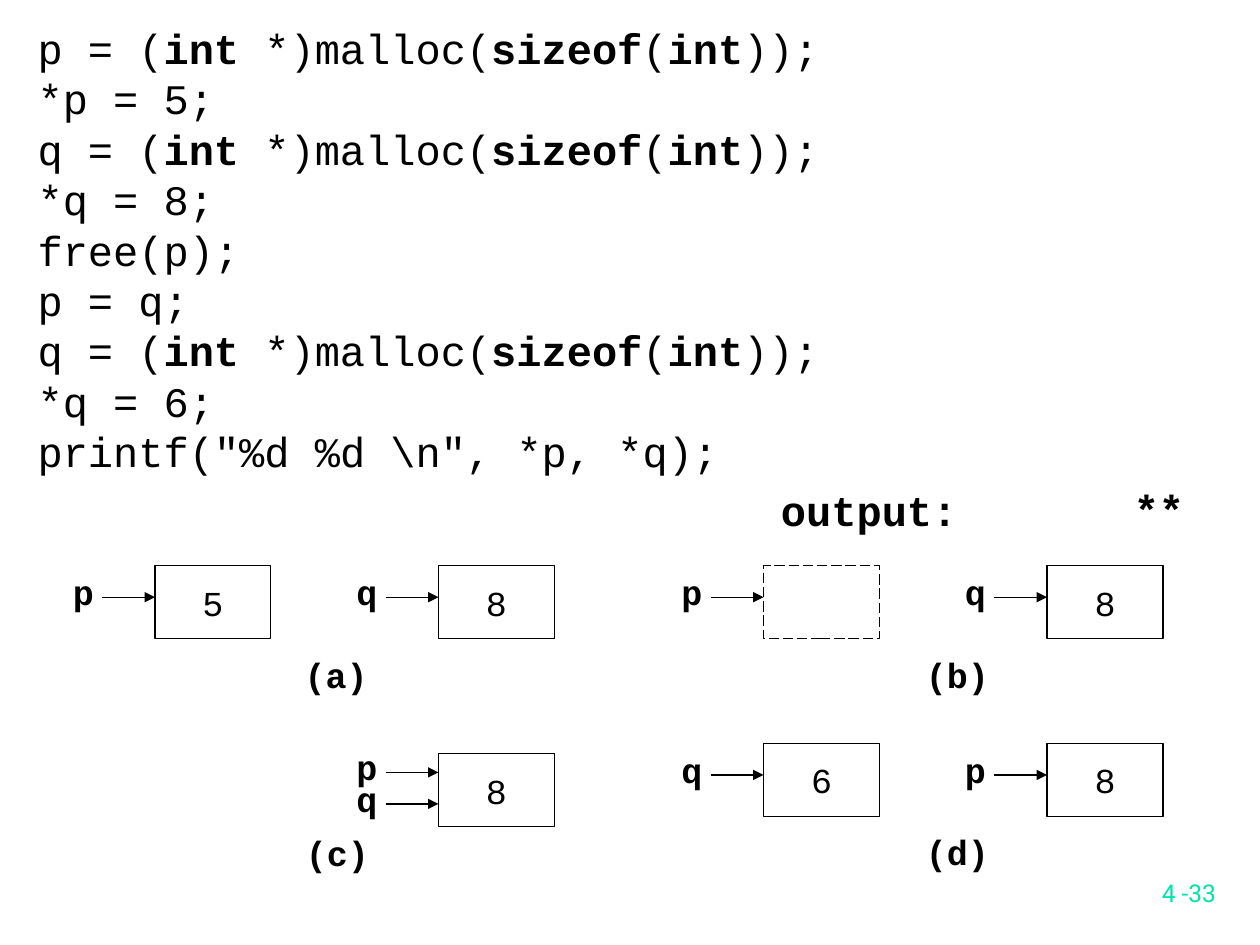
from lxml.etree import SubElement
from pptx import Presentation
from pptx.dml.color import RGBColor
from pptx.enum.dml import MSO_LINE
from pptx.enum.shapes import MSO_CONNECTOR, MSO_SHAPE
from pptx.enum.text import MSO_ANCHOR, MSO_AUTO_SIZE, PP_ALIGN
from pptx.oxml.ns import qn
from pptx.util import Inches, Pt

BLACK = "000000"
CODE = [
    "p = (|int| *)malloc(|sizeof|(|int|));",
    "*p = 5;",
    "q = (|int| *)malloc(|sizeof|(|int|));",
    "*q = 8;",
    "free(p);",
    "p = q;",
    "q = (|int| *)malloc(|sizeof|(|int|));",
    "*q = 6;",
    'printf("%d %d \\n", *p, *q);',
]
BOX_W, BOX_H = 0.92, 0.58
ARROW_W = 0.42
ARROW_DROP = 0.25

prs = Presentation()
prs.slide_width, prs.slide_height = Inches(10), Inches(7.5)
s = prs.slides.add_slide(prs.slide_layouts[6])


def write(sp, lines, size, bold=False, align=PP_ALIGN.LEFT,
          font="Courier New", color=BLACK, **frame):
    """Fill a shape with lines in which every second |-separated part is bold."""
    tf = sp.text_frame
    for name, value in frame.items():
        setattr(tf, name, value)
    for i, line in enumerate(lines):
        p = tf.paragraphs[0] if i == 0 else tf.add_paragraph()
        p.alignment = align
        for j, part in enumerate(line.split("|")):
            r = p.add_run()
            r.text = part
            fmt = {"name": font, "size": Pt(size), "bold": bold or j % 2 == 1}
            for name, value in fmt.items():
                setattr(r.font, name, value)
            r.font.color.rgb = RGBColor.from_string(color)


def add_label(text, x, y, w, h, size=20):
    sp = s.shapes.add_textbox(Inches(x), Inches(y), Inches(w), Inches(h))
    write(sp, [text], size, bold=True, word_wrap=False,
          auto_size=MSO_AUTO_SIZE.SHAPE_TO_FIT_TEXT)


# Program listing, output and page number
sp = s.shapes.add_textbox(Inches(0.2), Inches(0.13), Inches(6.77), Inches(3.7))
write(sp, CODE, 24, word_wrap=True, auto_size=MSO_AUTO_SIZE.SHAPE_TO_FIT_TEXT)
add_label("output:", 6.1, 3.8, 1.6, 0.5, 24)
add_label("**", 8.9, 3.79, 0.6, 0.5, 24)
sp = s.shapes.add_textbox(Inches(7.67), Inches(6.75), Inches(2.08), Inches(0.5))
write(sp, ["4 -33"], 14, align=PP_ALIGN.RIGHT, font="Roboto", color="00E4A8",
      word_wrap=True, vertical_anchor=MSO_ANCHOR.BOTTOM)

# Memory cells: left, top, value (empty once freed), pointers with arrow drop
cells = [
    (1.23, 4.49, "5", [("p", ARROW_DROP)]),
    (3.48, 4.49, "8", [("q", ARROW_DROP)]),
    (6.06, 4.49, "", [("p", ARROW_DROP)]),
    (8.31, 4.49, "8", [("q", ARROW_DROP)]),
    (3.48, 5.98, "8", [("p", 0.15), ("q", 0.4)]),
    (6.06, 5.9, "6", [("q", ARROW_DROP)]),
    (8.31, 5.9, "8", [("p", ARROW_DROP)]),
]
for x, y, value, pointers in cells:
    sp = s.shapes.add_shape(MSO_SHAPE.RECTANGLE, Inches(x), Inches(y),
                            Inches(BOX_W), Inches(BOX_H))
    sp.shadow.inherit = False
    sp.fill.background()
    sp.line.color.rgb = RGBColor.from_string(BLACK)
    sp.line.width = Pt(0.75)
    if value:
        write(sp, [value], 20, align=PP_ALIGN.CENTER, word_wrap=False,
              vertical_anchor=MSO_ANCHOR.MIDDLE)
    else:
        sp.line.dash_style = MSO_LINE.LONG_DASH

    for name, drop in pointers:
        arrow_y = y + drop
        add_label(name, x - 0.75, arrow_y - 0.26, 0.36, 0.44)
        arrow = s.shapes.add_connector(
            MSO_CONNECTOR.STRAIGHT, Inches(x - ARROW_W), Inches(arrow_y),
            Inches(x), Inches(arrow_y))
        arrow.line.color.rgb = RGBColor.from_string(BLACK)
        arrow.line.width = Pt(0.75)
        SubElement(arrow.line._get_or_add_ln(), qn("a:tailEnd"), type="triangle")
        SubElement(arrow._element.spPr, qn("a:effectLst"))

# Captions of the four stages
for text, x, y in [("(a)", 2.32, 5.14), ("(b)", 7.25, 5.14),
                   ("(c)", 2.33, 6.55), ("(d)", 7.25, 6.54)]:
    add_label(text, x, y, 0.7, 0.44)

prs.save("out.pptx")
